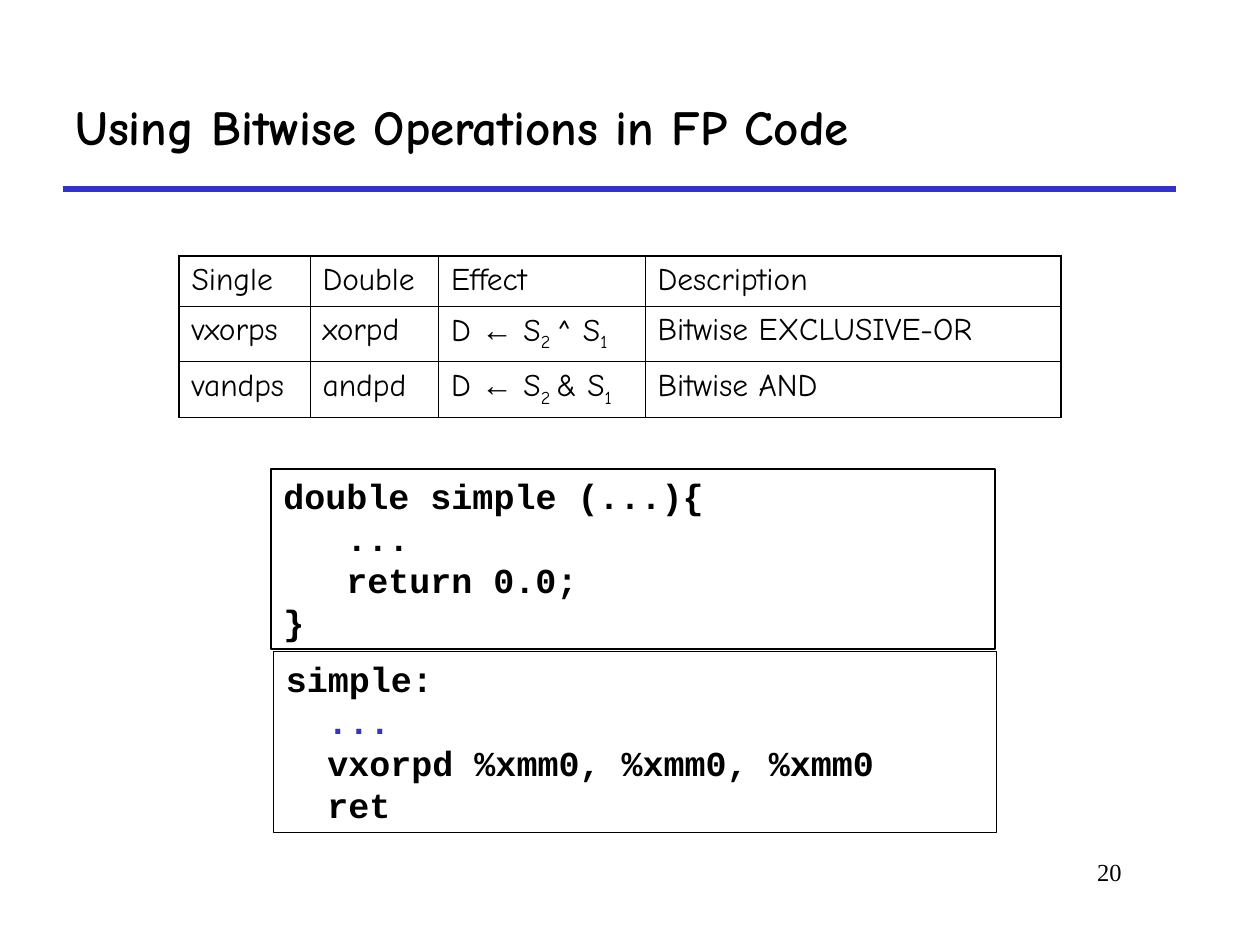
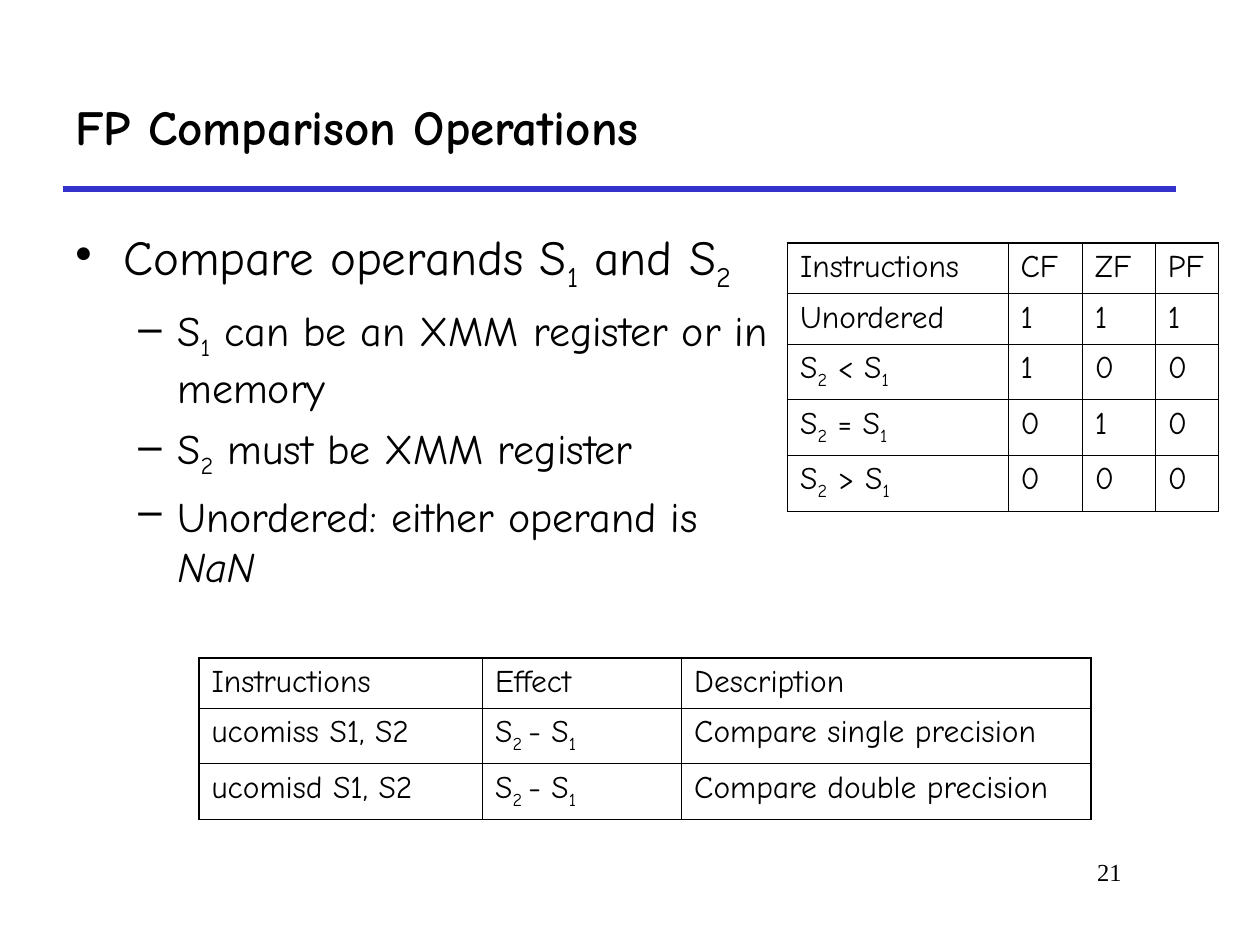
from lxml import etree
from pptx import Presentation
from pptx.dml.color import RGBColor
from pptx.enum.shapes import MSO_CONNECTOR, MSO_SHAPE
from pptx.enum.text import MSO_ANCHOR, PP_ALIGN
from pptx.oxml.ns import qn
from pptx.util import Pt

PX = 9144  # 100 px to the inch
BLACK = RGBColor(0x00, 0x00, 0x00)
BLUE = RGBColor(0x33, 0x33, 0xCC)
RECTANGLE, STRAIGHT = MSO_SHAPE.RECTANGLE, MSO_CONNECTOR.STRAIGHT
TOP, MIDDLE = MSO_ANCHOR.TOP, MSO_ANCHOR.MIDDLE
LEFT, RIGHT = PP_ALIGN.LEFT, PP_ALIGN.RIGHT

TITLE_FONT = {"name": "Comic Neue", "size": Pt(28), "bold": True}
NUMBER_FONT = {"name": "Times New Roman", "size": Pt(14)}
CODE_FONT = {"name": "Courier New", "size": Pt(20), "bold": True}
CELL_FONT = {"name": "Comic Neue", "size": Pt(18)}
THICK, THIN = Pt(1.08), Pt(0.45)

ARROW = ("←", {"name": "Arial"})
SUB_1 = ("1", {"baseline": -25000})
SUB_2 = ("2", {"baseline": -25000})
SUB_2_SPACED = ("2 ", {"baseline": -25000})


def write(paragraph, pieces, font, color=BLACK):
    """Add one run per piece; a piece is a string or (string, format changes)."""
    for piece in [pieces] if isinstance(pieces, str) else pieces:
        text, changes = (piece, {}) if isinstance(piece, str) else piece
        run = paragraph.add_run()
        run.text = text
        run.font.color.rgb = color
        for name, value in {**font, **changes}.items():
            if name == "baseline":
                run._r.get_or_add_rPr().set(name, str(value))
            else:
                setattr(run.font, name, value)


def add_grid(slide, left, top, widths, heights, rows, right_border=THICK):
    """Add an unfilled table with thin rules and a thicker left, top and right edge."""
    table = slide.shapes.add_table(
        len(rows), len(widths), left * PX, top * PX,
        sum(widths) * PX, sum(heights) * PX).table
    table.first_row = table.horz_banding = False
    for column, width in zip(table.columns, widths):
        column.width = width * PX
    for row, height in zip(table.rows, heights):
        row.height = height * PX
    for row_index, row in enumerate(rows):
        for column_index, pieces in enumerate(row):
            cell = table.cell(row_index, column_index)
            borders = {
                "a:lnL": THICK if column_index == 0 else THIN,
                "a:lnR": right_border if column_index == len(row) - 1 else THIN,
                "a:lnT": THICK if row_index == 0 else THIN,
                "a:lnB": THIN,
            }
            properties = cell._tc.get_or_add_tcPr()
            for tag, width in borders.items():
                line = etree.SubElement(properties, qn(tag), w=str(int(width)))
                fill = etree.SubElement(line, qn("a:solidFill"))
                etree.SubElement(fill, qn("a:srgbClr"), val=str(BLACK))
            cell.fill.background()
            paragraph = cell.text_frame.paragraphs[0]
            paragraph.space_before = Pt(4.5)
            write(paragraph, pieces, CELL_FONT)


presentation = Presentation()
presentation.slide_width, presentation.slide_height = 1000 * PX, 750 * PX
blank_layout = presentation.slide_layouts[6]

# Rule, page number and title on every slide
slides = []
for number, title in ((20, "Using Bitwise Operations in FP Code"),
                      (21, "FP Comparison Operations")):
    slide = presentation.slides.add_slide(blank_layout)
    slides.append(slide)
    rule = slide.shapes.add_connector(STRAIGHT, 50 * PX, 150 * PX, 933 * PX, 150 * PX)
    rule.line.color.rgb, rule.line.width = BLUE, Pt(3)
    etree.SubElement(rule._element.spPr, qn("a:effectLst"))
    for text, box, font, anchor, alignment in (
            (str(number), (758, 675, 142, 50), NUMBER_FONT, TOP, RIGHT),
            (title, (50, 50, 883, 100), TITLE_FONT, MIDDLE, LEFT)):
        frame = slide.shapes.add_textbox(*(length * PX for length in box)).text_frame
        frame.word_wrap, frame.vertical_anchor = True, anchor
        frame.paragraphs[0].alignment = alignment
        write(frame.paragraphs[0], text, font)
bitwise_slide, comparison_slide = slides

# Bitwise slide: C code above its assembly, each line as (indent, text, colour)
c_code = ((0, "double simple (...){", BLACK), (50, "...", BLACK),
          (50, "return 0.0;", BLACK), (0, "}", BLACK))
assembly = ((0, "simple:", BLACK), (33, "...", BLUE),
            (33, "vxorpd %xmm0, %xmm0, %xmm0", BLACK), (33, "ret", BLACK))
for box, border, code in (((215, 372, 575, 143), Pt(1), c_code),
                          ((217, 517, 574, 144), Pt(0.75), assembly)):
    shape = bitwise_slide.shapes.add_shape(RECTANGLE, *(length * PX for length in box))
    shape.shadow.inherit = False
    shape.fill.background()
    shape.line.color.rgb, shape.line.width = BLACK, border
    frame = shape.text_frame
    frame.word_wrap, frame.vertical_anchor = True, TOP
    for index, (indent, text, color) in enumerate(code):
        paragraph = frame.add_paragraph() if index else frame.paragraphs[0]
        paragraph.alignment = LEFT
        paragraph._p.get_or_add_pPr().set("marL", str(indent * PX))
        write(paragraph, text, CODE_FONT, color)

add_grid(bitwise_slide, 142, 203, (104, 102, 164, 330), (40, 44, 44), (
    ("Single", "Double", "Effect", "Description"),
    ("vxorps", "xorpd", ("D ", ARROW, " S", SUB_2_SPACED, "^ S", SUB_1),
     "Bitwise EXCLUSIVE-OR"),
    ("vandps", "andpd", ("D ", ARROW, " S", SUB_2_SPACED, "& S", SUB_1),
     "Bitwise AND"),
))

# Comparison slide: bullets as (level, pieces)
bullet_levels = (
    {"margin": 38, "hanging": 38, "before": 7, "mark": "•", "size": 28},
    {"margin": 81, "hanging": 31, "before": 6, "mark": "–", "size": 24},
)
bullets = (
    (0, ("Compare operands S", SUB_1, " and S", SUB_2)),
    (1, ("S", SUB_1, " can be an XMM register or in memory")),
    (1, ("S", SUB_2, " must be XMM register")),
    (1, ("Unordered: either operand is ", ("NaN", {"italic": True}))),
)
body = comparison_slide.shapes.add_textbox(50 * PX, 175 * PX, 575 * PX, 350 * PX).text_frame
body.word_wrap = True
for index, (level, pieces) in enumerate(bullets):
    style = bullet_levels[level]
    paragraph = body.add_paragraph() if index else body.paragraphs[0]
    paragraph.level = level
    paragraph.space_before = Pt(style["before"])
    properties = paragraph._p.get_or_add_pPr()
    properties.set("marL", str(style["margin"] * PX))
    properties.set("indent", str(-style["hanging"] * PX))
    bullet_color = etree.SubElement(properties, qn("a:buClr"))
    etree.SubElement(bullet_color, qn("a:srgbClr"), val=str(BLACK))
    etree.SubElement(properties, qn("a:buChar"), char=style["mark"])
    write(paragraph, pieces, {"name": "Comic Neue", "size": Pt(style["size"])})

difference = ("S", SUB_2_SPACED, "- S", SUB_1)
add_grid(comparison_slide, 158, 522, (225, 158, 325), (40, 44, 44), (
    ("Instructions", "Effect", "Description"),
    ("ucomiss S1, S2", difference, "Compare single precision"),
    ("ucomisd S1, S2", difference, "Compare double precision"),
))

flag_rows = [("Instructions", "CF", "ZF", "PF"), ("Unordered", *"111")]
for relation, flags in (("<", "100"), ("=", "010"), (">", "000")):
    flag_rows.append((("S", SUB_2, f" {relation} S", SUB_1), *flags))
add_grid(comparison_slide, 625, 193, (175, 59, 58, 50), (40, 40, 44, 44, 44),
         flag_rows, right_border=THIN)

presentation.save("out.pptx")
